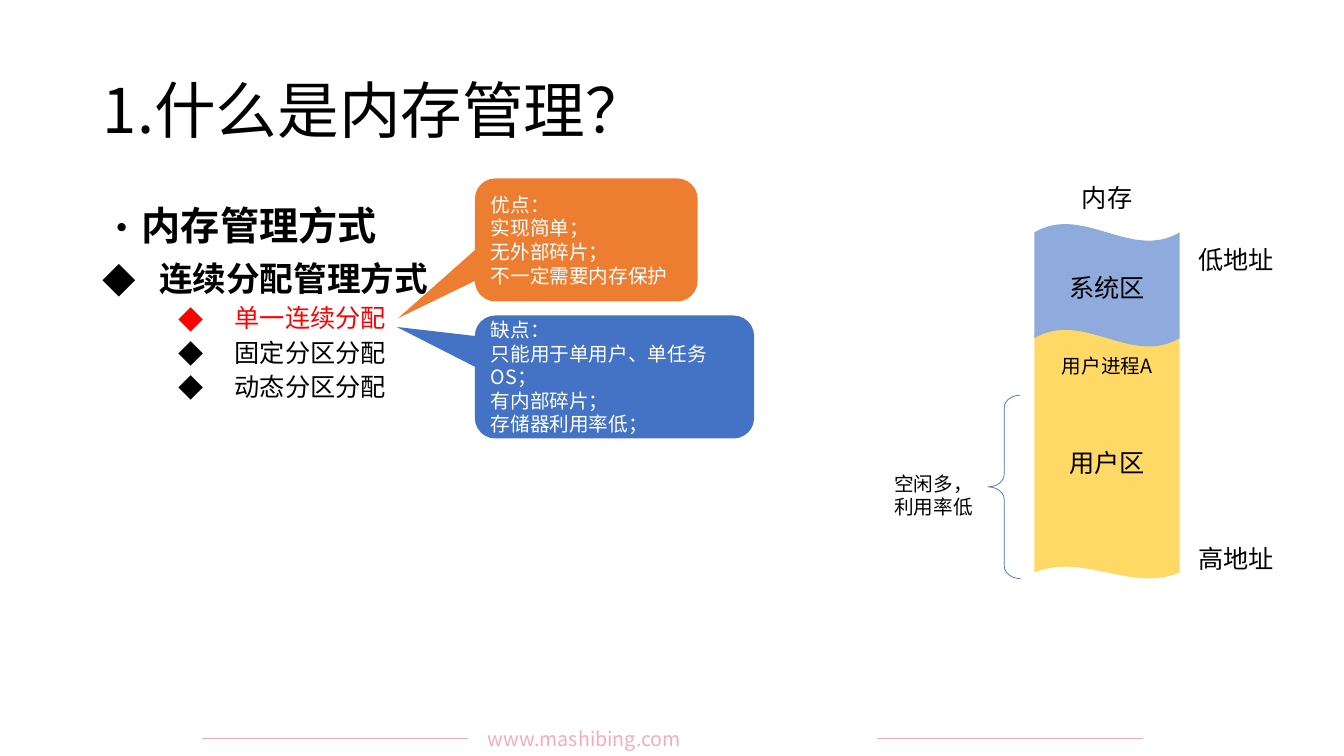
"""Build the slide on contiguous memory allocation."""
from lxml.etree import SubElement as Sub
from pptx import Presentation
from pptx.dml.color import RGBColor as RGB
from pptx.enum.shapes import MSO_CONNECTOR as Line, MSO_SHAPE as Shape
from pptx.enum.text import MSO_ANCHOR as Anchor, MSO_AUTO_SIZE as Fit, PP_ALIGN as Align
from pptx.oxml.ns import qn
from pptx.util import Inches, Pt

FACE = "Noto Sans CJK SC"
BLACK, WHITE, RED, PINK = "000000", "FFFFFF", "FF0000", "F4ACBA"
BLUE, PALE, GOLD, ORANGE = "4472C4", "8FAADC", "FFD966", "ED7D31"


def tint(hue):
    """Turn a hex string into a colour."""
    return RGB.from_string(hue)


def box(rect):
    """Turn left, top, width and height into lengths."""
    return [Inches(n) for n in rect]


def style(para, size, hue=BLACK, bold=False, align=Align.LEFT):
    """Format a whole paragraph."""
    para.alignment = align
    font = para.font
    font.size, font.bold, font.name = Pt(size), bold, FACE
    font.color.rgb = tint(hue)
    Sub(para._p.pPr.find(qn("a:defRPr")), qn("a:ea"), typeface=FACE)


def write(frame, lines, size, hue=BLACK, align=Align.LEFT):
    """Fill a text frame with lines of one style."""
    frame.word_wrap = True
    frame.text = "\n".join(lines)
    for para in frame.paragraphs:
        style(para, size, hue, align=align)


def label(slide, rect, lines, size=18, hue=BLACK, align=Align.CENTER):
    """Add a text box."""
    frame = slide.shapes.add_textbox(*box(rect)).text_frame
    write(frame, lines, size, hue, align)


def form(slide, kind, rect, adjust, fill=None, line=None):
    """Add a preset shape with a plain fill or line."""
    shape = slide.shapes.add_shape(kind, *box(rect))
    shape.shadow.inherit = False
    for i, value in enumerate(adjust):
        shape.adjustments[i] = value
    if fill:
        shape.fill.solid()
        shape.fill.fore_color.rgb = tint(fill)
    else:
        shape.fill.background()
    if line:
        shape.line.color.rgb = tint(line)
        shape.line.width = Pt(0.5)
    else:
        shape.line.fill.background()
    return shape


def callout(slide, rect, tip, fill, lines):
    """Add a rounded callout with white text."""
    shape = form(slide, Shape.ROUNDED_RECTANGULAR_CALLOUT, rect, (*tip, 0.167), fill)
    shape.text_frame.vertical_anchor = Anchor.MIDDLE
    write(shape.text_frame, lines, 14, WHITE)


def rule(slide, left):
    """Add a thin footer line."""
    top = Inches(7.33)
    line = slide.shapes.add_connector(
        Line.STRAIGHT, Inches(left), top, Inches(left + 2.64), top)
    line.line.color.rgb = tint(PINK)
    line.line.width = Pt(0.5)
    Sub(line._element.spPr, qn("a:effectLst"))


def head(slide, text):
    """Place and format the title."""
    title = slide.shapes.title
    title.left, title.top, title.width, title.height = box((0.92, 0.4, 11.5, 1.45))
    frame = title.text_frame
    write(frame, [text], 44)
    frame.auto_size = Fit.NONE
    frame.vertical_anchor = Anchor.MIDDLE
    frame.paragraphs[0].line_spacing = 0.9


def outline(slide, items):
    """Add the bulleted list."""
    frame = slide.shapes.add_textbox(*box((0.92, 2, 11.5, 5.1))).text_frame
    frame.word_wrap = True
    frame.text = "\n".join(item[0] for item in items)
    for i, (para, item) in enumerate(zip(frame.paragraphs, items)):
        _, mark, level, left, hang, size, hue, bold = item
        para.level = level
        para.line_spacing = 0.9
        if i:
            para.space_before = Pt(5 if level else 10)
        props = para._p.get_or_add_pPr()
        props.set("marL", str(Inches(left)))
        props.set("indent", str(-Inches(hang)))
        Sub(props, qn("a:buFont"), typeface=FACE)
        Sub(props, qn("a:buChar"), char=mark)
        style(para, size, hue, bold)


def memory(slide):
    """Draw the memory column with its labels."""
    form(slide, Shape.WAVE, (10.26, 3.24, 1.44, 2.5), (0.024, 0), GOLD)
    form(slide, Shape.WAVE, (10.26, 2.22, 1.44, 1.22), (0.07, 0), PALE)
    for left, top, text in (
        (10.48, 1.76, "内存"),
        (10.48, 2.65, "系统区"),
        (10.48, 4.39, "用户区"),
        (11.76, 2.37, "低地址"),
        (11.76, 5.34, "高地址"),
    ):
        label(slide, (left, top, 1, 0.4), [text])
    form(slide, Shape.LEFT_BRACE, (9.8, 3.92, 0.32, 1.82), (0.391, 0.5), line=BLUE)
    label(slide, (8.76, 4.63, 1, 0.57), ["空闲多，", "利用率低"], 14)
    label(slide, (10.42, 3.46, 1.12, 0.34), ["用户进程A"], 14)


def main():
    """Build and save the deck."""
    deck = Presentation()
    deck.slide_width, deck.slide_height = Inches(13.33), Inches(7.5)
    slide = deck.slides.add_slide(deck.slide_layouts[5])
    for left in (2, 8.7):
        rule(slide, left)
    label(slide, (4.74, 7.16, 3.85, 0.34), ["www.mashibing.com"], 14, PINK, Align.JUSTIFY)
    head(slide, "1.什么是内存管理？")
    sub = ("◆", 1, 1.31, 0.56, 18)
    outline(slide, [
        ("内存管理方式", "•", 0, 0.25, 0.25, 28, BLACK, True),
        ("连续分配管理方式", "◆", 0, 0.56, 0.56, 24, BLACK, True),
        ("单一连续分配", *sub, RED, False),
        ("固定分区分配", *sub, BLACK, False),
        ("动态分区分配", *sub, BLACK, False),
    ])
    memory(slide)
    callout(slide, (4.71, 1.77, 2.21, 1.22), (-0.845, 0.637), ORANGE,
            ["优点：", "实现简单；", "无外部碎片；", "不一定需要内存保护"])
    callout(slide, (4.71, 3.13, 2.77, 1.22), (-0.78, -0.407), BLUE,
            ["缺点：", "只能用于单用户、单任务OS；", "有内部碎片；", "存储器利用率低；"])
    deck.save("out.pptx")


if __name__ == "__main__":
    main()
